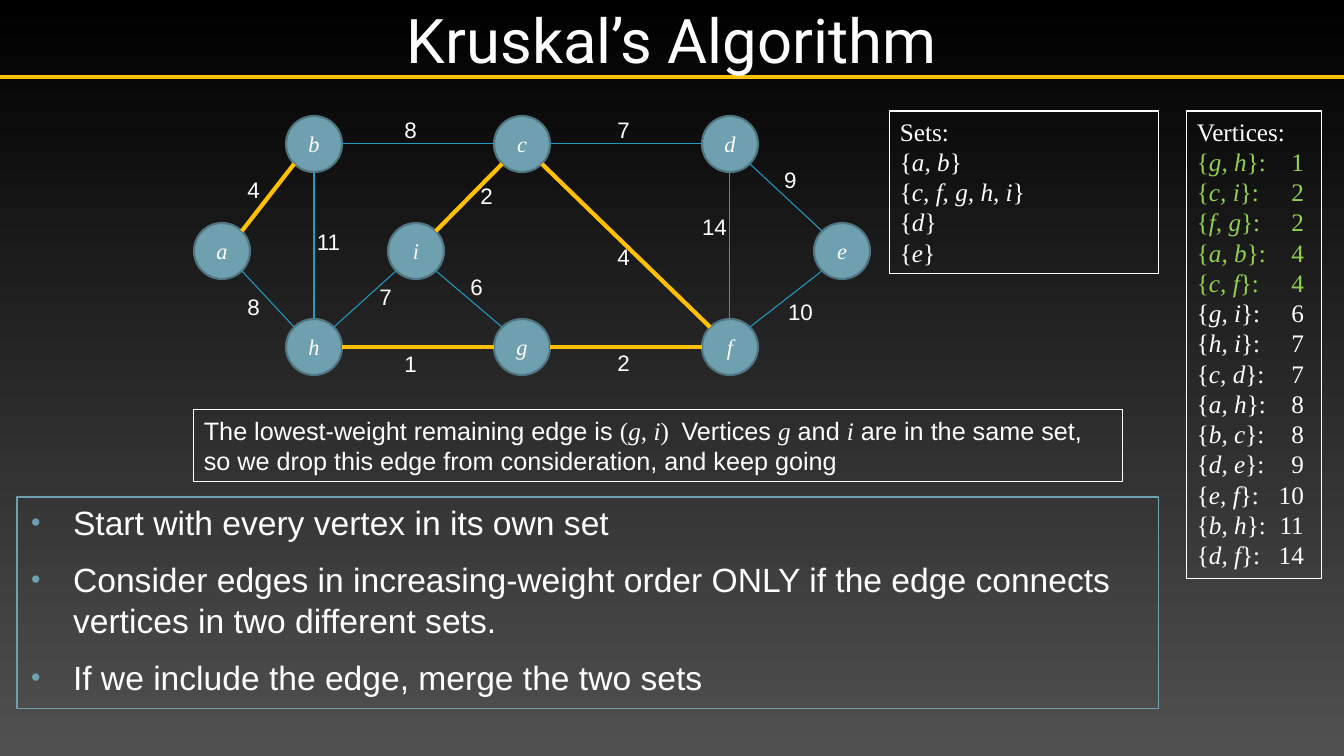
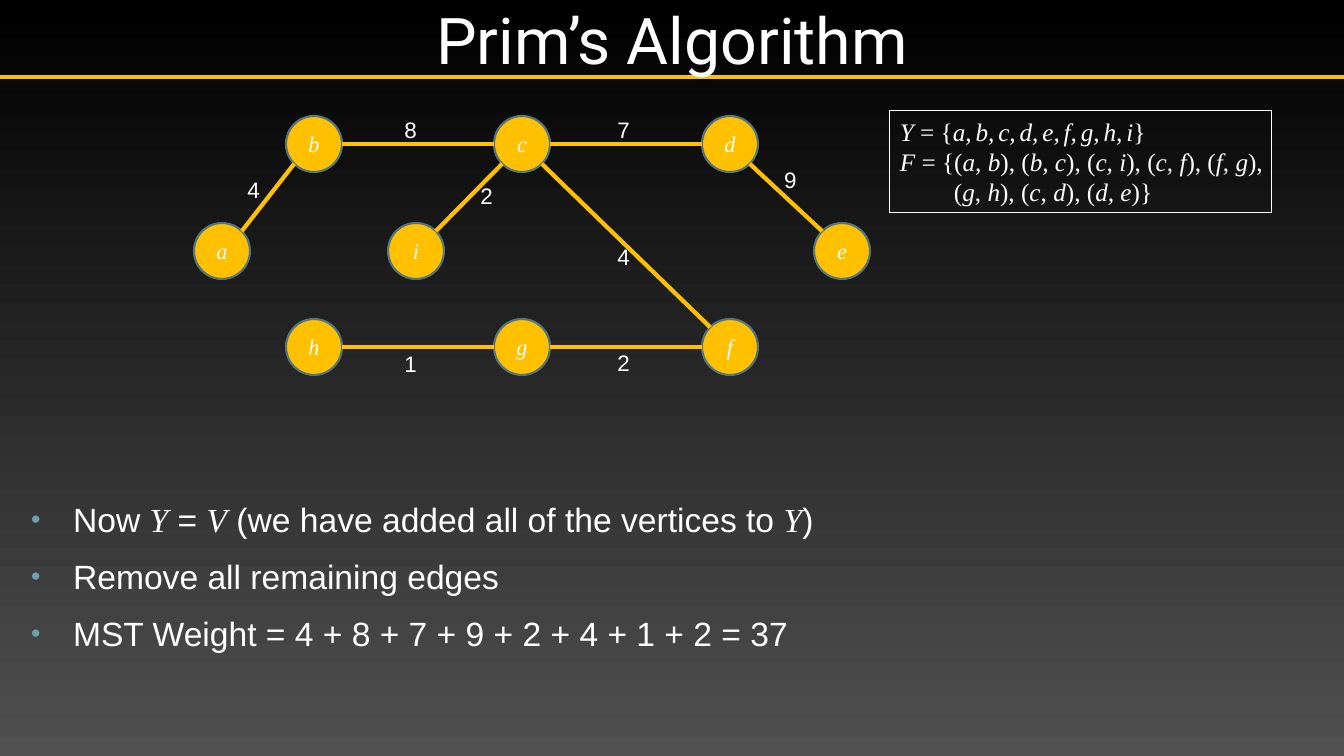
from math import sqrt
from lxml.etree import SubElement
from pptx import Presentation
from pptx.dml.color import RGBColor
from pptx.enum.shapes import MSO_CONNECTOR, MSO_SHAPE
from pptx.enum.text import MSO_ANCHOR, MSO_AUTO_SIZE, PP_ALIGN
from pptx.oxml.ns import qn
from pptx.util import Pt

WIDE, HIGH = 1344, 756
SCALE = 12192000 / WIDE

WHITE = RGBColor(0xFF, 0xFF, 0xFF)
BLACK = RGBColor(0x00, 0x00, 0x00)
GRAY = RGBColor(0x50, 0x50, 0x50)
GOLD = RGBColor(0xFF, 0xC0, 0x00)
TEAL = RGBColor(0x6E, 0xA0, 0xB0)
RIM = RGBColor(0x51, 0x76, 0x82)
BLUE = RGBColor(0x23, 0x9B, 0xC2)
GREEN = RGBColor(0x92, 0xD0, 0x50)

SANS, SERIF, HEAD = "Arial", "Times New Roman", "Roboto"

BAND = 77
RADIUS = 28
GRAPH = (194, 111)
NODES = {
    "b": (120, 33), "c": (328, 33), "d": (536, 33),
    "h": (120, 236), "g": (328, 236), "f": (536, 236),
    "a": (28, 140), "i": (222, 140), "e": (648, 140),
}
EDGES = {
    "gh": (1, 194, 234), "ci": (2, 270, 66), "fg": (2, 407, 233),
    "ab": (4, 37, 60), "cf": (4, 407, 127), "gi": (6, 260, 157),
    "hi": (7, 169, 167), "cd": (7, 407, 0), "ah": (8, 37, 177),
    "bc": (8, 194, 0), "de": (9, 574, 50), "ef": (10, 584, 182),
    "bh": (11, 112, 112), "df": (14, 498, 97),
}
SITES = [(0, -1), (-1, -1), (-1, 0), (-1, 1), (0, 1), (1, 1), (1, 0), (1, -1)]
PICKED = ["gh", "ci", "fg", "ab", "cf"]
TREE = PICKED + ["cd", "bc", "de"]


def px(num):
    return round(num * SCALE)


def box(*vals):
    return [px(val) for val in vals]


def style(font, name, size, color=WHITE, slant=False):
    font.name, font.size, font.italic = name, Pt(size), slant
    font.color.rgb = color


def write(para, text, name, size, color=WHITE):
    for odd, part in enumerate(text.split("|")):
        for slant, bit in enumerate(part.split("*")):
            if bit:
                run = para.add_run()
                run.text = bit
                face = SERIF if odd % 2 or slant % 2 else name
                style(run.font, face, size, color, slant % 2 == 1)


def fill(frame, lines, name, size):
    for num, line in enumerate(lines):
        para = frame.add_paragraph() if num else frame.paragraphs[0]
        write(para, line, name, size)
    return frame.paragraphs


def draw(shapes, start, end, color, width):
    link = shapes.add_connector(MSO_CONNECTOR.STRAIGHT, *box(*start, *end))
    link.line.color.rgb, link.line.width = color, Pt(width)
    SubElement(link.element.spPr, qn("a:effectLst"))
    return link


def sign(num):
    return (num > 0) - (num < 0)


def add_edge(group, dots, pair, left, top, color, width):
    one, two = (NODES[name] for name in pair)
    way = (sign(two[0] - one[0]), sign(two[1] - one[1]))
    reach = RADIUS / sqrt(abs(way[0]) + abs(way[1]))
    start = (left + one[0] + reach * way[0], top + one[1] + reach * way[1])
    end = (left + two[0] - reach * way[0], top + two[1] - reach * way[1])
    link = draw(group.shapes, start, end, color, width)
    props = link.element.find(qn("p:nvCxnSpPr")).find(qn("p:cNvCxnSpPr"))
    back = (-way[0], -way[1])
    for tag, name, side in (("a:stCxn", pair[0], way), ("a:endCxn", pair[1], back)):
        SubElement(props, qn(tag), id=str(dots[name].shape_id), idx=str(SITES.index(side)))


def add_graph(slide, left, top, edges, gold, color):
    group = slide.shapes.add_group_shape()
    dots = {}
    for name, (x, y) in NODES.items():
        size = 2 * RADIUS
        dot = group.shapes.add_shape(
            MSO_SHAPE.OVAL, *box(left + x - RADIUS, top + y - RADIUS, size, size))
        dot.shadow.inherit = False
        dot.fill.solid()
        dot.fill.fore_color.rgb = color
        dot.line.color.rgb, dot.line.width = RIM, Pt(1.5)
        frame = dot.text_frame
        frame.text = name
        frame.vertical_anchor = MSO_ANCHOR.MIDDLE
        para = frame.paragraphs[0]
        para.alignment = PP_ALIGN.CENTER
        style(para.runs[0].font, SERIF, 16, slant=True)
        dots[name] = dot
    for pair in edges:
        look = (GOLD, 3) if pair in gold else (BLUE, 0.75)
        add_edge(group, dots, pair, left, top, *look)
    for pair in edges:
        cost, x, y = EDGES[pair]
        label = group.shapes.add_textbox(*box(left + x, top + y, 45, 37))
        frame = label.text_frame
        frame.word_wrap = True
        frame.margin_left = frame.margin_right = 0
        frame.text = str(cost)
        para = frame.paragraphs[0]
        para.alignment = PP_ALIGN.CENTER
        style(para.runs[0].font, SANS, 16)


def add_note(slide, area, lines, name=SERIF, right=10):
    note = slide.shapes.add_textbox(*box(*area))
    note.line.color.rgb, note.line.width = WHITE, Pt(0.75)
    frame = note.text_frame
    frame.word_wrap = True
    frame.auto_size = MSO_AUTO_SIZE.SHAPE_TO_FIT_TEXT
    frame.margin_right = px(right)
    return fill(frame, lines, name, 18)


def add_costs(slide, area):
    lines = [f"{{*{pair[0]}, {pair[1]}*}}:\t{EDGES[pair][0]}" for pair in EDGES]
    paras = add_note(slide, area, ["Vertices:"] + lines)
    for pair, para in zip(EDGES, paras[1:]):
        tabs = SubElement(para._p.get_or_add_pPr(), qn("a:tabLst"))
        SubElement(tabs, qn("a:tab"), pos=str(px(107)), algn="r")
        if pair in PICKED:
            for run in para.runs:
                run.font.color.rgb = GREEN


def add_list(slide, area, lines):
    body = slide.placeholders[1]
    body.left, body.top, body.width, body.height = box(*area)
    frame = body.text_frame
    frame.auto_size = MSO_AUTO_SIZE.NONE
    frame.vertical_anchor = MSO_ANCHOR.TOP
    for para in fill(frame, lines, SANS, 24):
        para.space_before = Pt(12)
        props = para._p.get_or_add_pPr()
        props.set("marL", str(px(46)))
        props.set("indent", str(px(-42)))
        tint = SubElement(props, qn("a:buClr"))
        SubElement(tint, qn("a:srgbClr"), val=str(TEAL))
        SubElement(props, qn("a:buSzPct"), val="80000")
        SubElement(props, qn("a:buFont"), typeface=SANS)
        SubElement(props, qn("a:buChar"), char="•")
    return body


def add_slide(deck, text, size):
    slide = deck.slides.add_slide(deck.slide_layouts[1])
    title = slide.shapes.title
    title.left, title.top, title.width, title.height = box(0, 0, WIDE, BAND)
    frame = title.text_frame
    frame.text = text
    frame.auto_size = MSO_AUTO_SIZE.NONE
    frame.vertical_anchor = MSO_ANCHOR.MIDDLE
    frame.margin_left = frame.margin_right = px(5)
    frame.margin_top = frame.margin_bottom = px(5)
    para = frame.paragraphs[0]
    para.alignment = PP_ALIGN.CENTER
    style(para.runs[0].font, HEAD, size)
    return slide


def set_master(deck, slide):
    master = deck.slide_master
    back = master.background.fill
    back.gradient()
    back.gradient_angle = 270
    for stop, color in zip(back.gradient_stops, (BLACK, GRAY)):
        stop.color.rgb = color
    rule = draw(slide.shapes, (0, BAND), (WIDE, BAND), GOLD, 2.5)
    master.shapes.element.append(rule.element) if hasattr(master.shapes, "element") \
        else master.element.cSld.spTree.append(rule.element)


def add_kruskal(deck):
    slide = add_slide(deck, "Kruskal’s Algorithm", 44)
    body = add_list(slide, (17, 497, 1142, 212), [
        "Start with every vertex in its own set",
        "Consider edges in increasing-weight order ONLY if the edge connects "
        "vertices in two different sets.",
        "If we include the edge, merge the two sets",
    ])
    body.line.color.rgb, body.line.width = TEAL, Pt(0.75)
    add_graph(slide, *GRAPH, EDGES, PICKED, TEAL)
    sets = ["a, b", "c, f, g, h, i", "d", "e"]
    add_note(slide, (890, 111, 269, 163), ["Sets:"] + [f"{{*{item}*}}" for item in sets])
    add_note(slide, (194, 410, 929, 72), [
        "The lowest-weight remaining edge is |(*g*, *i*)  |Vertices *g* and *i* "
        "are in the same set, so we drop this edge from consideration, and keep going",
    ], SANS)
    add_costs(slide, (1187, 111, 135, 468))
    return slide


def add_prim(deck):
    slide = add_slide(deck, "Prim’s Algorithm", 46)
    add_list(slide, (17, 494, 1310, 172), [
        "Now *Y* = *V* (we have added all of the vertices to *Y*)",
        "Remove all remaining edges",
        "MST Weight = 4 + 8 + 7 + 9 + 2 + 4 + 1 + 2 = 37",
    ])
    add_graph(slide, *GRAPH, TREE, TREE, GOLD)
    names = " ".join(f"*{name},*" for name in "abcdefgh")
    paras = add_note(slide, (890, 111, 382, 102), [
        "*Y* = {" + names + " *i*}",
        "*F* = {(*a*, *b*), (*b, c*), (*c, i*), (*c*, *f*), (*f*, *g*),",
        "(*g*, *h*), (*c, d*), (*d, e*)}",
    ], right=5)
    for run in paras[0].runs:
        if run.text == " ":
            run.font.size = Pt(11)
    paras[2]._p.get_or_add_pPr().set("marL", str(px(54)))
    return slide


def main():
    deck = Presentation()
    deck.slide_width, deck.slide_height = box(WIDE, HIGH)
    set_master(deck, add_kruskal(deck))
    add_prim(deck)
    deck.save("out.pptx")


if __name__ == "__main__":
    main()
